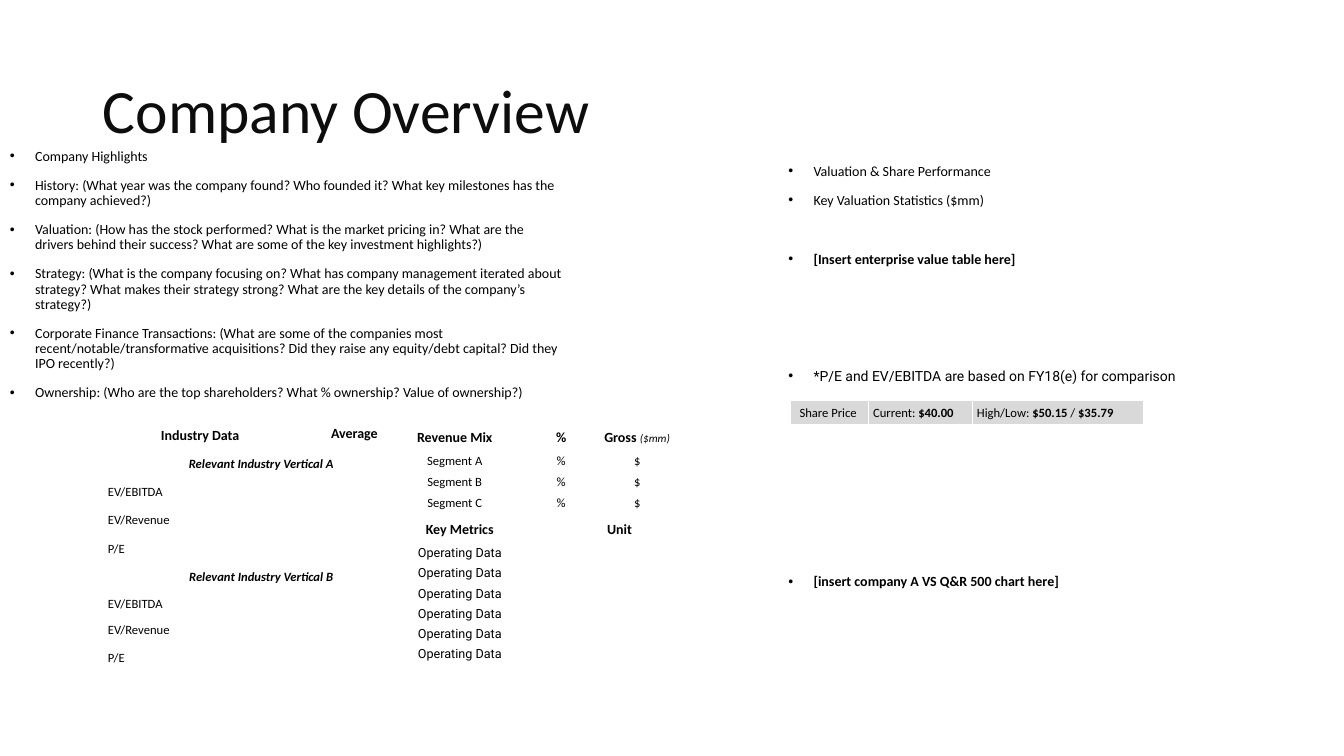
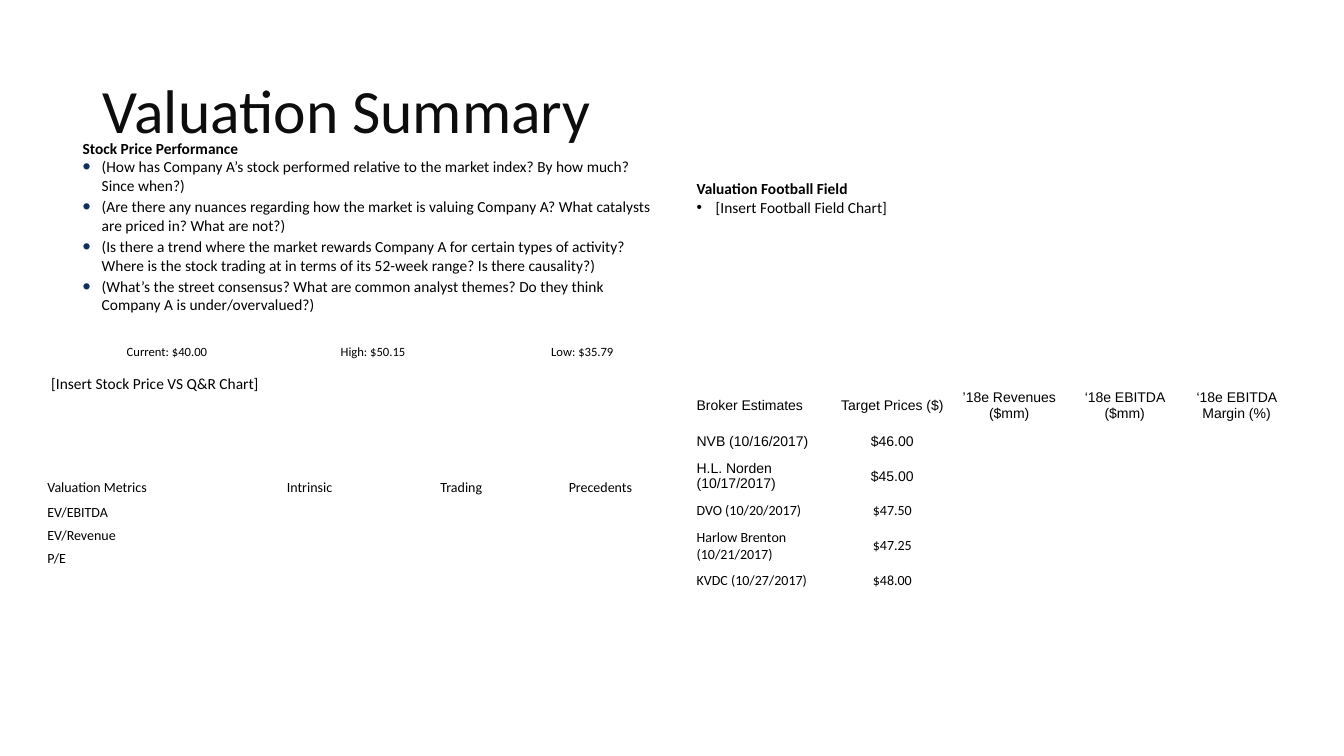
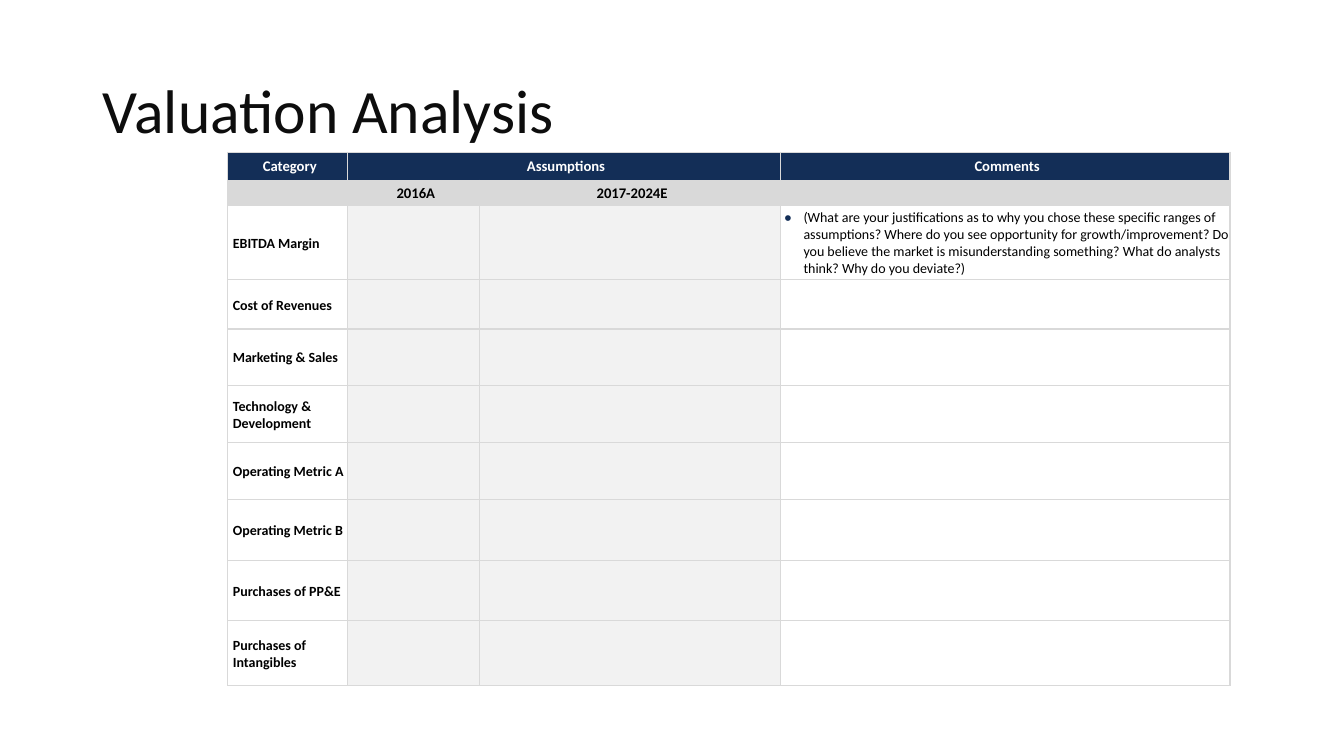
from dataclasses import dataclass, replace
from typing import Optional

from lxml.etree import SubElement
from pptx import Presentation
from pptx.dml.color import RGBColor
from pptx.enum.text import MSO_ANCHOR, MSO_AUTO_SIZE, PP_ALIGN
from pptx.oxml import parse_xml
from pptx.oxml.ns import nsdecls, qn
from pptx.util import Pt

PX = 9144
BLACK = RGBColor(0x00, 0x00, 0x00)
INK = RGBColor(0x0D, 0x0D, 0x0D)
WHITE = RGBColor(0xFF, 0xFF, 0xFF)
NAVY = RGBColor(0x13, 0x2E, 0x57)
GREY = RGBColor(0xD9, 0xD9, 0xD9)
PALE = RGBColor(0xF2, 0xF2, 0xF2)
NO_STYLE = "{2D5ABB26-0587-4C30-8999-92F81FD0307C}"


@dataclass(frozen=True)
class Look:
    size: float = 10
    font: str = "Calibri"
    color: RGBColor = BLACK
    bold: bool = False
    italic: bool = False
    align: PP_ALIGN = PP_ALIGN.LEFT
    spacing: float = 1.0
    before: float = 0
    after: float = 0
    hang: int = 0
    bullet_color: Optional[RGBColor] = None
    bullet_percent: int = 100
    insets: tuple = (5, 2, 5, 2)
    anchor: MSO_ANCHOR = MSO_ANCHOR.MIDDLE
    fill: Optional[RGBColor] = None


TITLE = Look(size=44, color=INK, spacing=0.9)
OUTLINE = Look(spacing=0.9, before=10, hang=25, bullet_color=BLACK)
HEADING = Look(size=11, bold=True)
POINT = Look(size=11, hang=19, bullet_color=BLACK)
KEY_POINT = replace(POINT, after=2, bullet_color=NAVY, bullet_percent=150)


def centred(look, **changes):
    return replace(look, align=PP_ALIGN.CENTER, **changes)


class Deck:
    def __init__(self):
        self.presentation = Presentation()
        self.presentation.slide_width = 1333 * PX
        self.presentation.slide_height = 750 * PX
        self.slide = None

    def new_slide(self, title):
        self.slide = self.presentation.slides.add_slide(self.presentation.slide_layouts[5])
        heading = self.slide.shapes.title
        heading.left, heading.top = 92 * PX, 40 * PX
        heading.width, heading.height = 1150 * PX, 145 * PX
        heading.text_frame.auto_size = MSO_AUTO_SIZE.NONE
        heading.text_frame.vertical_anchor = MSO_ANCHOR.MIDDLE
        self.set_paragraph(heading.text_frame.paragraphs[0], title, TITLE)

    def bullet(self, paragraph, look):
        properties = paragraph._p.get_or_add_pPr()
        properties.set("marL", str(look.hang * PX))
        properties.set("indent", str(-look.hang * PX))
        color = SubElement(properties, qn("a:buClr"))
        SubElement(color, qn("a:srgbClr"), val=str(look.bullet_color))
        SubElement(properties, qn("a:buSzPct"), val=str(look.bullet_percent * 1000))
        SubElement(properties, qn("a:buFont"), typeface="Arial")
        SubElement(properties, qn("a:buChar"), char="•")

    def set_paragraph(self, paragraph, text, look):
        paragraph.alignment = look.align
        paragraph.line_spacing = look.spacing
        paragraph.space_before = Pt(look.before)
        paragraph.space_after = Pt(look.after)
        if look.bullet_color is not None:
            self.bullet(paragraph, look)
        font = paragraph.font
        font.name, font.size = look.font, Pt(look.size)
        font.bold, font.italic = look.bold, look.italic
        font.color.rgb = look.color
        if not text:
            paragraph._p.get_or_add_endParaRPr().set("sz", str(int(look.size * 100)))
            return
        pieces = [(text, {})] if isinstance(text, str) else text
        for words, changes in pieces:
            run = paragraph.add_run()
            run.text = words
            if "size" in changes:
                run.font.size = Pt(changes["size"])
            if "bold" in changes:
                run.font.bold = changes["bold"]
            if "italic" in changes:
                run.font.italic = changes["italic"]

    def text(self, left, top, width, height, lines):
        box = self.slide.shapes.add_textbox(left * PX, top * PX, width * PX, height * PX)
        frame = box.text_frame
        frame.word_wrap = True
        for index, (words, look) in enumerate(lines):
            paragraph = frame.add_paragraph() if index else frame.paragraphs[0]
            self.set_paragraph(paragraph, words, look)

    def table(self, left, top, widths, heights, rows):
        frame = self.slide.shapes.add_table(
            len(heights), len(widths), left * PX, top * PX, sum(widths) * PX, sum(heights) * PX)
        table = frame.table
        table.first_row = table.horz_banding = False
        table._tbl.tblPr.find(qn("a:tableStyleId")).text = NO_STYLE
        for column, width in zip(table.columns, widths):
            column.width = width * PX
        for row, height, entries in zip(table.rows, heights, rows):
            row.height = height * PX
            for cell, (words, look) in zip(row.cells, entries):
                self.fill_cell(cell, words, look)
        return table

    def fill_cell(self, cell, words, look):
        (cell.margin_left, cell.margin_top,
         cell.margin_right, cell.margin_bottom) = (inset * PX for inset in look.insets)
        cell.vertical_anchor = look.anchor
        if look.fill is None:
            cell.fill.background()
        else:
            cell.fill.solid()
            cell.fill.fore_color.rgb = look.fill
        self.set_paragraph(cell.text_frame.paragraphs[0], words, look)

    def border(self, cell, sides, color, points):
        properties = cell._tc.get_or_add_tcPr()
        for index, side in enumerate(sides):
            properties.insert(index, parse_xml(
                f'<a:ln{side} {nsdecls("a")} w="{int(points * 12700)}"><a:solidFill>'
                f'<a:srgbClr val="{color}"/></a:solidFill></a:ln{side}>'))


def company_overview(deck):
    deck.new_slide("Company Overview")
    highlights = [
        "Company Highlights",
        "History: (What year was the company found? Who founded it? What key milestones has the company achieved?)",
        "Valuation: (How has the stock performed? What is the market pricing in? What are the drivers behind their success? What are some of the key investment highlights?)",
        "Strategy: (What is the company focusing on? What has company management iterated about strategy? What makes their strategy strong? What are the key details of the company’s strategy?)",
        "Corporate Finance Transactions: (What are some of the companies most recent/notable/transformative acquisitions? Did they raise any equity/debt capital? Did they IPO recently?)",
        "Ownership: (Who are the top shareholders? What % ownership? Value of ownership?)",
    ]
    deck.text(0, 143, 567, 476, [(line, OUTLINE) for line in highlights])
    deck.text(772, 158, 562, 476, [
        ("Valuation & Share Performance", OUTLINE),
        ("Key Valuation Statistics ($mm)", OUTLINE),
        ("[Insert enterprise value table here]", replace(OUTLINE, bold=True, before=31)),
        ("*P/E and EV/EBITDA are based on FY18(e) for comparison",
         replace(OUTLINE, font="Roboto", before=73)),
        ("[insert company A VS Q&R 500 chart here]", replace(OUTLINE, bold=True, before=136)),
    ])

    price = Look(size=9, insets=(5, 3, 0, 3), fill=GREY)
    bold = {"bold": True}
    share_price = deck.table(785, 398, [76, 103, 170], [23], [[
        ("Share Price", replace(price, insets=(8, 3, 0, 3))),
        ([("Current: ", {}), ("$40.00", bold)], price),
        ([("High/Low: ", {}), ("$50.15 ", bold), ("/ ", {}), ("$35.79", bold)], price),
    ]])
    for column, sides in enumerate(["R", "LR", "L"]):
        deck.border(share_price.cell(0, column), sides, WHITE, 0.5)

    head = centred(Look(bold=True, insets=(5, 4, 5, 4)))
    body = centred(Look(size=9))
    operating = replace(body, font="Roboto")
    deck.table(356, 513, [200, 117], [26] + [20] * 6,
               [[("Key Metrics", head), ("Unit", head)]]
               + [[("Operating Data", operating), ("", operating)]] * 6)

    gross = [("Gross ", {}), ("($mm)", {"size": 8, "bold": False, "italic": True})]
    deck.table(368, 422, [166, 45, 106], [23, 21, 21, 21],
               [[("Revenue Mix", head), ("%", head), (gross, head)]]
               + [[(f"Segment {letter}", body), ("%", body), ("$", body)] for letter in "ABC"])

    multiple = Look(size=9, insets=(1, 1, 1, 0))
    vertical = centred(multiple, bold=True, italic=True)
    industry_rows = [[("Industry Data", replace(head, insets=(5, 4, 5, 2))),
                      ("Average", replace(head, insets=(0, 0, 0, 2)))]]
    for letter in "AB":
        industry_rows.append([(f"Relevant Industry Vertical {letter}", vertical), ("", vertical)])
        industry_rows += [[(name, multiple), ("", multiple)]
                          for name in ("EV/EBITDA", "EV/Revenue", "P/E")]
    industry = deck.table(106, 417, [185, 121], [29, 28, 28, 28, 28, 28, 25, 28, 28], industry_rows)
    for row in (1, 5):
        industry.cell(row, 0).merge(industry.cell(row, 1))


def valuation_summary(deck):
    deck.new_slide("Valuation Summary")
    broker_name = Look(before=1, after=1, insets=(10, 1, 10, 1))
    broker_value = centred(broker_name, insets=(5, 1, 3, 1))
    broker_head = replace(broker_value, font="Arial", insets=(5, 2, 3, 2))
    heads = ["Target Prices ($)", "’18e Revenues ($mm)", "‘18e EBITDA ($mm)", "‘18e EBITDA Margin (%)"]
    broker_rows = [[("Broker Estimates", replace(broker_name, font="Arial", insets=(10, 2, 10, 2)))]
                   + [(name, broker_head) for name in heads]]
    estimates = [
        ("NVB (10/16/2017)", "$46.00", "Arial"),
        ("H.L. Norden (10/17/2017)", "$45.00", "Arial"),
        ("DVO (10/20/2017)", "$47.50", "Calibri"),
        ("Harlow Brenton (10/21/2017)", "$47.25", "Calibri"),
        ("KVDC (10/27/2017)", "$48.00", "Calibri"),
    ]
    for broker, target, font in estimates:
        value = replace(broker_value, font=font)
        broker_rows.append([(broker, replace(broker_name, font=font)), (target, value)]
                           + [("", value)] * 3)
    deck.table(681, 380, [146, 114, 118, 111, 111], [45, 26, 43, 26, 43, 26], broker_rows)

    price = centred(Look(size=9, insets=(5, 3, 0, 3)))
    deck.table(58, 338, [207, 205, 210], [22], [[
        ("Current: $40.00", replace(price, insets=(8, 3, 0, 3))),
        ("High: $50.15", price),
        ("Low: $35.79", price),
    ]])

    metric = Look(insets=(3, 2, 3, 2))
    method = centred(metric)
    deck.table(44, 471, [180, 166, 135, 141], [25, 25, 19, 25],
               [[("Valuation Metrics", metric)]
                + [(name, method) for name in ("Intrinsic", "Trading", "Precedents")]]
               + [[(name, metric)] + [("", method)] * 3
                  for name in ("EV/EBITDA", "EV/Revenue", "P/E")])

    questions = [
        "(How has Company A’s stock performed relative to the market index? By how much? Since when?)",
        "(Are there any nuances regarding how the market is valuing Company A? What catalysts are priced in? What are not?)",
        "(Is there a trend where the market rewards Company A for certain types of activity? Where is the stock trading at in terms of its 52-week range? Is there causality?)",
        "(What’s the street consensus? What are common analyst themes? Do they think Company A is under/overvalued?)",
    ]
    deck.text(72, 133, 595, 185, [("Stock Price Performance", HEADING)]
              + [(question, KEY_POINT) for question in questions])
    deck.text(681, 173, 348, 47, [("Valuation Football Field", HEADING),
                                  ("[Insert Football Field Chart]", POINT)])
    deck.text(41, 366, 623, 29, [("[Insert Stock Price VS Q&R Chart]", replace(HEADING, bold=False))])


def valuation_analysis(deck):
    deck.new_slide("Valuation Analysis")
    head = centred(Look(size=10.5, color=WHITE, bold=True, after=6, insets=(4, 2, 0, 2), fill=NAVY))
    period = replace(head, color=BLACK, after=3, insets=(4, 4, 0, 2),
                     anchor=MSO_ANCHOR.TOP, fill=GREY)
    category = Look(bold=True, after=6, insets=(5, 4, 4, 2))
    assumption = Look(fill=PALE)
    comment = replace(KEY_POINT, size=10, after=0, insets=(4, 4, 0, 2), fill=WHITE)
    blank = Look(fill=WHITE)
    justification = "(What are your justifications as to why you chose these specific ranges of assumptions? Where do you see opportunity for growth/improvement? Do you believe the market is misunderstanding something? What do analysts think? Why do you deviate?)"
    categories = ["EBITDA Margin", "Cost of Revenues", "Marketing & Sales",
                  "Technology & Development", "Operating Metric A", "Operating Metric B",
                  "Purchases of PP&E", "Purchases of Intangibles"]
    rows = [[(name, head) for name in ("Category", "Assumptions", "", "Comments")],
            [(name, period) for name in ("", "2016A", "2017-2024E", "")]]
    for index, name in enumerate(categories):
        remark = ("", blank) if index else (justification, comment)
        rows.append([(name, category), ("", assumption), ("", assumption), remark])
    analysis = deck.table(226, 151, [119, 131, 298, 446],
                          [28, 25, 72, 49, 56, 57, 56, 61, 59, 65], rows)
    analysis.cell(0, 1).merge(analysis.cell(0, 2))
    for cell in analysis.iter_cells():
        deck.border(cell, "LRTB", GREY, 1)


def main():
    deck = Deck()
    company_overview(deck)
    valuation_summary(deck)
    valuation_analysis(deck)
    deck.presentation.save("out.pptx")


if __name__ == "__main__":
    main()
